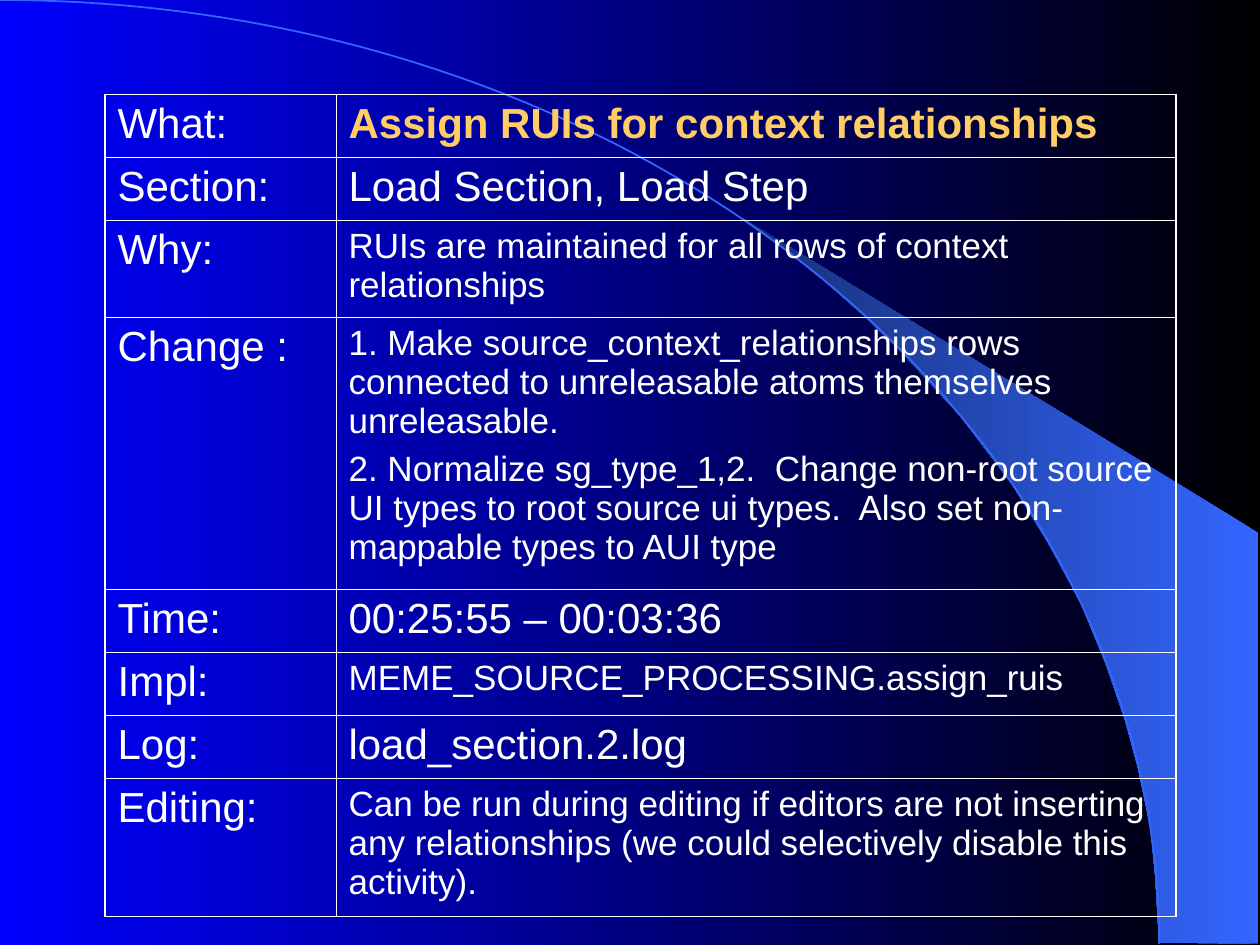
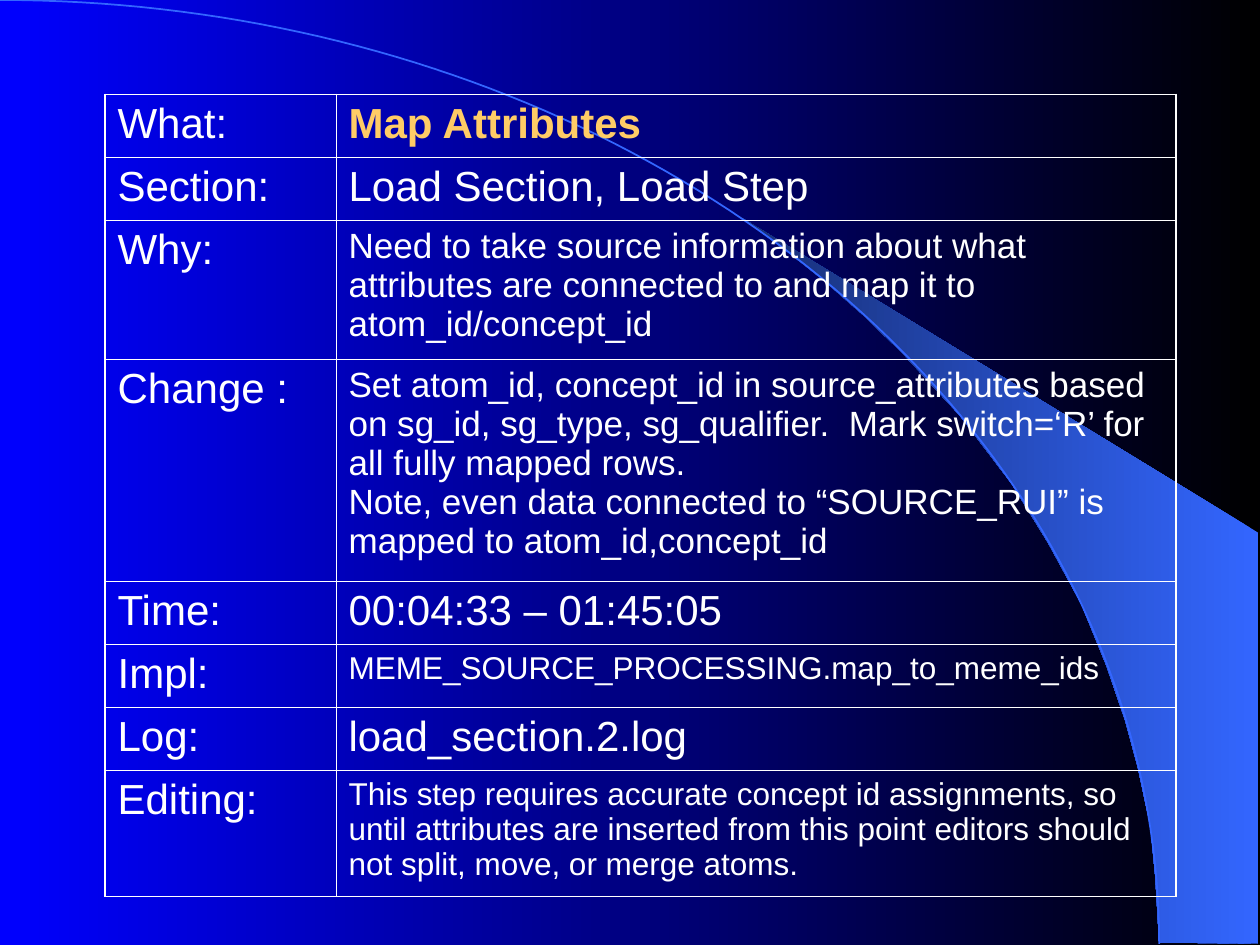
import math

import pptx
import pptx.dml.color
import pptx.util
from pptx.oxml import parse_xml
from pptx.oxml.ns import nsdecls

Pt = pptx.util.Pt
RGB = pptx.dml.color.RGBColor

BLACK = RGB(0x00, 0x00, 0x00)
BLUE = RGB(0x00, 0x00, 0xFF)
ARC_BLUE = RGB(0x33, 0x66, 0xFF)
DEEP_BLUE = RGB(0x17, 0x2F, 0x75)
WHITE = RGB(0xFF, 0xFF, 0xFF)
GOLD = RGB(0xFF, 0xCC, 0x66)

FONT = "Arial"
LARGE, MEDIUM, SMALL = 24, 20, 18
OUTER_BORDER, INNER_BORDER = 1.08, 0.45
COLUMN_WIDTHS = (132, 480)
TABLE_LEFT, TABLE_TOP = 60, 54
LABELS = ("What:", "Section:", "Why:", "Change :", "Time:", "Impl:", "Log:", "Editing:")

# Quarter ellipse running from the top left corner to the bottom edge
ARC_WIDTH, ARC_HEIGHT, ARC_STEPS = 662.4, 539.3, 90

# Crescent beside the arc: straight outer edge, then the curved inner edge
CRESCENT = (
    (662.4, 538.6), (719.3, 539.3), (719.3, 304.6), (424.1, 124.6),
    (449.3, 143.3), (470.2, 159.8), (493.2, 180), (515.5, 201.6),
    (548.6, 237.6), (578.2, 276.5), (599, 310.3), (617.8, 344.9),
    (632.2, 380.2), (643, 411.8), (650.2, 438.5), (657.4, 472.3),
    (660.2, 501.1),
)

# Each step: row heights, then (text size, paragraphs) for every label
STEPS = (
    ((36, 36, 55.4, 155.4, 36, 36, 36, 79), (
        (LARGE, ["Assign RUIs for context relationships"]),
        (LARGE, ["Load Section, Load Step"]),
        (MEDIUM, ["RUIs are maintained for all rows of context relationships"]),
        (MEDIUM, [
            "1. Make source_context_relationships rows connected to "
            "unreleasable atoms themselves unreleasable.",
            "2. Normalize sg_type_1,2.  Change non-root source UI types to "
            "root source ui types.  Also set non-mappable types to AUI type",
        ]),
        (LARGE, ["00:25:55 – 00:03:36"]),
        (MEDIUM, ["MEME_SOURCE_PROCESSING.assign_ruis"]),
        (LARGE, ["load_section.2.log"]),
        (MEDIUM, [
            "Can be run during editing if editors are not inserting any "
            "relationships (we could selectively disable this activity).",
        ]),
    )),
    ((36, 36, 79.2, 127, 36, 36, 36, 72), (
        (LARGE, ["Map Attributes"]),
        (LARGE, ["Load Section, Load Step"]),
        (MEDIUM, [
            "Need to take source information about what attributes are "
            "connected to and map it to atom_id/concept_id",
        ]),
        (MEDIUM, [
            "Set atom_id, concept_id in source_attributes based on sg_id, "
            "sg_type, sg_qualifier.  Mark switch=‘R’ for all fully mapped rows.\n"
            "Note, even data connected to “SOURCE_RUI” is mapped to "
            "atom_id,concept_id",
        ]),
        (LARGE, ["00:04:33 – 01:45:05"]),
        (SMALL, ["MEME_SOURCE_PROCESSING.map_to_meme_ids"]),
        (LARGE, ["load_section.2.log"]),
        (SMALL, [
            "This step requires accurate concept id assignments, so until "
            "attributes are inserted from this point editors should not "
            "split, move, or merge atoms.",
        ]),
    )),
)


def set_gradient(fill, right_color, left_color):
    """Fade from right to left."""
    fill.gradient()
    fill.gradient_angle = 180
    for stop, color in zip(fill.gradient_stops, (right_color, left_color)):
        stop.color.rgb = color


def add_outline(slide, points, close):
    points = [(Pt(x), Pt(y)) for x, y in points]
    builder = slide.shapes.build_freeform(*points[0])
    builder.add_line_segments(points[1:], close=close)
    outline = builder.convert_to_shape()
    outline.shadow.inherit = False
    return outline


def add_backdrop(slide):
    crescent = add_outline(slide, CRESCENT, close=True)
    set_gradient(crescent.fill, ARC_BLUE, DEEP_BLUE)
    crescent.line.fill.background()

    angles = [math.pi / 2 * step / ARC_STEPS for step in range(ARC_STEPS + 1)]
    arc_points = [(ARC_WIDTH * math.sin(a), ARC_HEIGHT * (1 - math.cos(a))) for a in angles]
    arc = add_outline(slide, arc_points, close=False)
    arc.fill.background()
    arc.line.color.rgb = ARC_BLUE
    arc.line.width = Pt(0.99)


def set_borders(cell, outer_sides):
    """Draw all four borders, heavier on the sides at the table's edge."""
    properties = cell._tc.get_or_add_tcPr()
    for index, side in enumerate("LRTB"):
        width = Pt(OUTER_BORDER if side in outer_sides else INNER_BORDER)
        properties.insert(index, parse_xml(
            f'<a:ln{side} {nsdecls("a")} w="{int(width)}"><a:solidFill>'
            f'<a:srgbClr val="{WHITE}"/></a:solidFill></a:ln{side}>'))


def fill_cell(cell, paragraphs, size, color=WHITE, bold=False):
    cell.fill.background()
    cell.margin_left = cell.margin_right = Pt(7.2)
    cell.margin_top = cell.margin_bottom = Pt(3.6)
    frame = cell.text_frame
    for index, text in enumerate(paragraphs):
        paragraph = frame.add_paragraph() if index else frame.paragraphs[0]
        paragraph.space_before = Pt(size / 4)
        for line_number, line in enumerate(text.split("\n")):
            if line_number:
                paragraph.add_line_break()
            run = paragraph.add_run()
            run.text = line
            run.font.name = FONT
            run.font.size = Pt(size)
            run.font.bold = bold
            run.font.color.rgb = color


def add_step_table(slide, row_heights, details):
    table = slide.shapes.add_table(
        len(LABELS), 2, Pt(TABLE_LEFT), Pt(TABLE_TOP),
        Pt(sum(COLUMN_WIDTHS)), Pt(sum(row_heights))).table
    table.first_row = table.horz_banding = False
    for column, width in zip(table.columns, COLUMN_WIDTHS):
        column.width = Pt(width)

    last = len(LABELS) - 1
    for index, (label, (size, paragraphs)) in enumerate(zip(LABELS, details)):
        table.rows[index].height = Pt(row_heights[index])
        label_cell, detail_cell = table.cell(index, 0), table.cell(index, 1)
        is_title = index == 0
        fill_cell(label_cell, [label], LARGE)
        fill_cell(detail_cell, paragraphs, size, GOLD if is_title else WHITE, is_title)
        edge = {0: "T", last: "B"}.get(index, "")
        set_borders(label_cell, "L" + edge)
        set_borders(detail_cell, "R" + edge)


def main():
    deck = pptx.Presentation()
    deck.slide_width, deck.slide_height = Pt(720), Pt(540)
    set_gradient(deck.slide_master.background.fill, BLACK, BLUE)
    for row_heights, details in STEPS:
        slide = deck.slides.add_slide(deck.slide_layouts[6])
        add_backdrop(slide)
        add_step_table(slide, row_heights, details)
    deck.save("out.pptx")


main()
